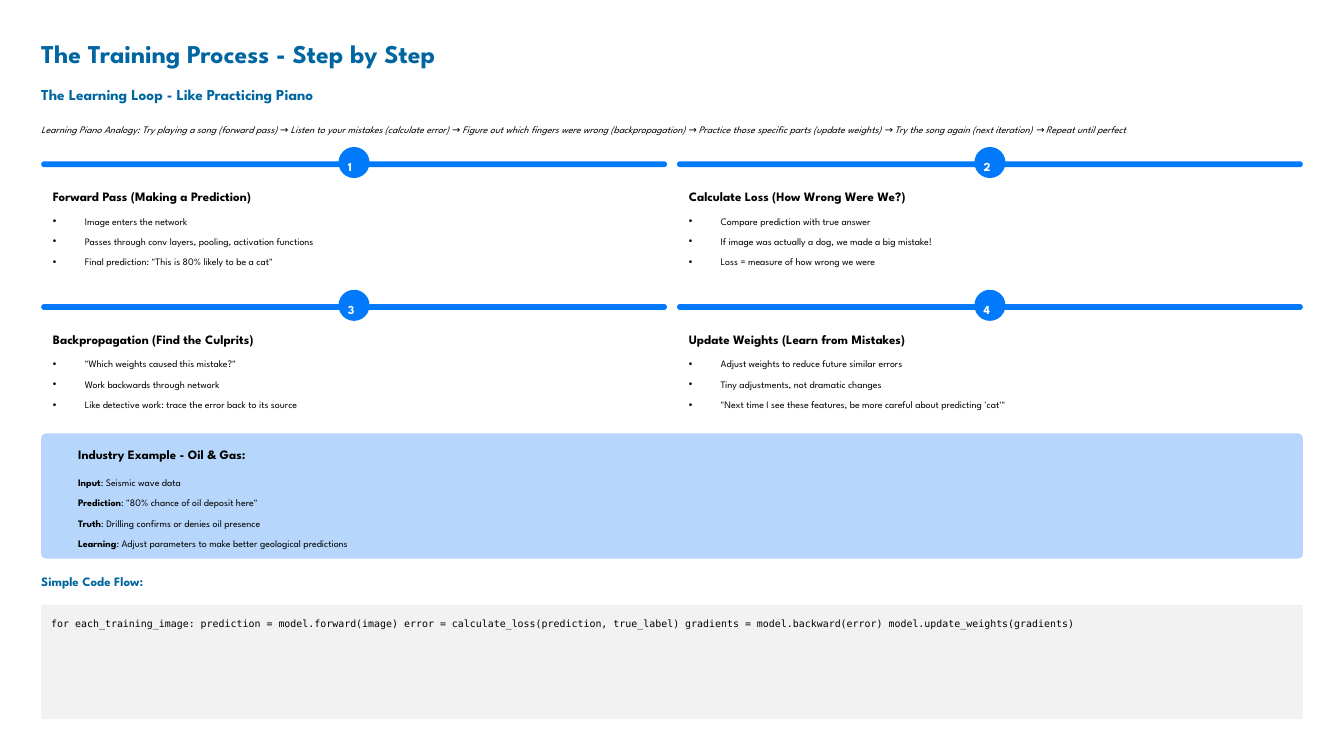
from dataclasses import dataclass
from typing import NamedTuple

from lxml.etree import SubElement
from pptx import Presentation
from pptx.dml.color import RGBColor
from pptx.enum.shapes import MSO_SHAPE as Preset
from pptx.enum.text import MSO_ANCHOR as Anchor, MSO_AUTO_SIZE as AutoSize, PP_ALIGN as Align
from pptx.oxml.ns import qn
from pptx.text.text import TextFrame
from pptx.util import Inches, Pt


class Style(NamedTuple):
    size: float
    leading: float
    color: str
    bold: bool = False
    italic: bool = False
    font: str = "League Spartan"


@dataclass(frozen=True)
class Theme:
    accent: str = "0079FA"
    example: str = "B6D6FC"
    code_panel: str = "F2F2F2"
    title: Style = Style(22, 27.5, "0066A1", bold=True)
    subtitle: Style = Style(13, 16.5, "0066A1", bold=True)
    section: Style = Style(11, 13.5, "0066A1", bold=True)
    heading: Style = Style(11, 13.5, "000000", bold=True)
    number: Style = Style(10.5, 16.5, "FFFFFF", bold=True)
    body: Style = Style(8.5, 14, "000000")
    analogy: Style = Style(8.5, 14, "000000", italic=True)
    code: Style = Style(8.5, 14, "000000", font="DejaVu Sans Mono")
    list_gap: float = 3.5
    bullet_indent: float = 0.38


class Area(NamedTuple):
    """Place on the slide grid of 16 columns by 9 rows."""
    col: float
    row: float
    cols: float
    rows: float


class Step(NamedTuple):
    heading: str
    points: tuple[str, ...]


class Fact(NamedTuple):
    term: str
    detail: str


THEME = Theme()
COLUMNS, ROWS = 16, 9
CELL = Inches(1)
MARGIN = 0.49
CONTENT = COLUMNS - 2 * MARGIN
GUTTER = 0.12
STEP_WIDTH = (CONTENT - GUTTER) / 2
STEP_TOP, STEP_PITCH = 1.92, 1.7
BADGE = 0.37
INSET = 0.14

STEPS = (
    Step("Forward Pass (Making a Prediction)", (
        "Image enters the network",
        "Passes through conv layers, pooling, activation functions",
        'Final prediction: "This is 80% likely to be a cat"')),
    Step("Calculate Loss (How Wrong Were We?)", (
        "Compare prediction with true answer",
        "If image was actually a dog, we made a big mistake!",
        "Loss = measure of how wrong we were")),
    Step("Backpropagation (Find the Culprits)", (
        '"Which weights caused this mistake?"',
        "Work backwards through network",
        "Like detective work: trace the error back to its source")),
    Step("Update Weights (Learn from Mistakes)", (
        "Adjust weights to reduce future similar errors",
        "Tiny adjustments, not dramatic changes",
        "\"Next time I see these features, be more careful about predicting 'cat'\"")),
)
FACTS = (
    Fact("Input", ": Seismic wave data"),
    Fact("Prediction", ': "80% chance of oil deposit here"'),
    Fact("Truth", ": Drilling confirms or denies oil presence"),
    Fact("Learning", ": Adjust parameters to make better geological predictions"),
)
ANALOGY = (
    "Learning Piano Analogy: Try playing a song (forward pass) → Listen to your mistakes "
    "(calculate error) → Figure out which fingers were wrong (backpropagation) → Practice those "
    "specific parts (update weights) → Try the song again (next iteration) → Repeat until perfect")
CODE = (
    "for each_training_image: prediction = model.forward(image) "
    "error = calculate_loss(prediction, true_label) "
    "gradients = model.backward(error) model.update_weights(gradients)")


def box(area: Area) -> tuple[int, ...]:
    return tuple(round(length * CELL) for length in area)


def write(frame: TextFrame, *lines: str | Fact, style: Style,
          bullets: bool = False, wrap: bool = False) -> None:
    frame.margin_left = frame.margin_top = frame.margin_right = frame.margin_bottom = 0
    frame.auto_size = AutoSize.NONE
    frame.vertical_anchor = Anchor.TOP
    frame.word_wrap = wrap
    for index, line in enumerate(lines):
        paragraph = frame.add_paragraph() if index else frame.paragraphs[0]
        if bullets:
            properties = paragraph._p.get_or_add_pPr()
            indent = Inches(THEME.bullet_indent)
            properties.set("marL", str(indent))
            properties.set("indent", str(-indent))
            SubElement(properties, qn("a:buChar")).set("char", "•")
        paragraph.alignment = Align.LEFT
        paragraph.line_spacing = Pt(style.leading)
        paragraph.space_before = Pt(THEME.list_gap if index else 0)
        parts = ((line.term, True), (line.detail, False)) if isinstance(line, Fact) else ((line, style.bold),)
        for text, bold in parts:
            run = paragraph.add_run()
            run.text = text
            run.font.name = style.font
            run.font.size = Pt(style.size)
            run.font.bold = bold
            run.font.italic = style.italic
            run.font.color.rgb = RGBColor.from_string(style.color)


def add_text(slide, area: Area, *lines: str | Fact, style: Style, wrap: bool = False) -> None:
    write(slide.shapes.add_textbox(*box(area)).text_frame, *lines, style=style, wrap=wrap)


def fill_placeholder(placeholder, area: Area, *lines: str, style: Style, bullets: bool = False) -> None:
    placeholder.left, placeholder.top, placeholder.width, placeholder.height = box(area)
    write(placeholder.text_frame, *lines, style=style, bullets=bullets)


def add_panel(slide, area: Area, color: str, rounding: float = 0.5) -> None:
    panel = slide.shapes.add_shape(Preset.ROUNDED_RECTANGLE, *box(area))
    panel.adjustments[0] = rounding
    panel.shadow.inherit = False
    panel.fill.solid()
    panel.fill.fore_color.rgb = RGBColor.from_string(color)
    panel.line.fill.background()


def add_step(slide, index: int, step: Step) -> None:
    row, column = divmod(index, 2)
    left = MARGIN + column * (STEP_WIDTH + GUTTER)
    top = STEP_TOP + row * STEP_PITCH
    badge_left = left + (STEP_WIDTH - BADGE) / 2
    text_left = left + INSET
    text_width = STEP_WIDTH - 2 * INSET
    add_panel(slide, Area(left, top, STEP_WIDTH, 0.07), THEME.accent)
    add_panel(slide, Area(badge_left, top - 0.17, BADGE, BADGE), THEME.accent)
    add_text(slide, Area(badge_left + 0.11, top - 0.08, 0.15, 0.18), str(index + 1), style=THEME.number)
    add_text(slide, Area(text_left, top + 0.32, 2.8, 0.19), step.heading, style=THEME.heading)
    fill_placeholder(slide.placeholders[index + 1], Area(text_left, top + 0.59, text_width, 0.68),
                     *step.points, style=THEME.body, bullets=True)


def main() -> None:
    deck = Presentation()
    deck.slide_width, deck.slide_height = COLUMNS * CELL, ROWS * CELL
    # The Comparison layout offers a title and four bodies, one per step
    slide = deck.slides.add_slide(deck.slide_layouts.get_by_name("Comparison"))

    # Headings and analogy
    fill_placeholder(slide.shapes.title, Area(MARGIN, 0.43, 5.09, 0.38),
                     "The Training Process - Step by Step", style=THEME.title)
    add_text(slide, Area(MARGIN, 1, 3.55, 0.23),
             "The Learning Loop - Like Practicing Piano", style=THEME.subtitle)
    add_text(slide, Area(MARGIN, 1.42, CONTENT, 0.2), ANALOGY, style=THEME.analogy)

    # Four training steps
    for index, step in enumerate(STEPS):
        add_step(slide, index, step)

    # Industry example
    add_panel(slide, Area(MARGIN, 5.16, CONTENT, 1.49), THEME.example, rounding=0.04)
    add_text(slide, Area(0.93, 5.31, 2.11, 0.19), "Industry Example - Oil & Gas:", style=THEME.heading)
    add_text(slide, Area(0.93, 5.62, 14.46, 0.92), *FACTS, style=THEME.body)

    # Code flow
    add_text(slide, Area(MARGIN, 6.83, 1.54, 0.19), "Simple Code Flow:", style=THEME.section)
    add_panel(slide, Area(MARGIN, 7.2, CONTENT, 1.36), THEME.code_panel, rounding=0.01)
    add_text(slide, Area(0.61, 7.3, 14.78, 1.18), CODE, style=THEME.code, wrap=True)

    deck.save("out.pptx")


if __name__ == "__main__":
    main()
